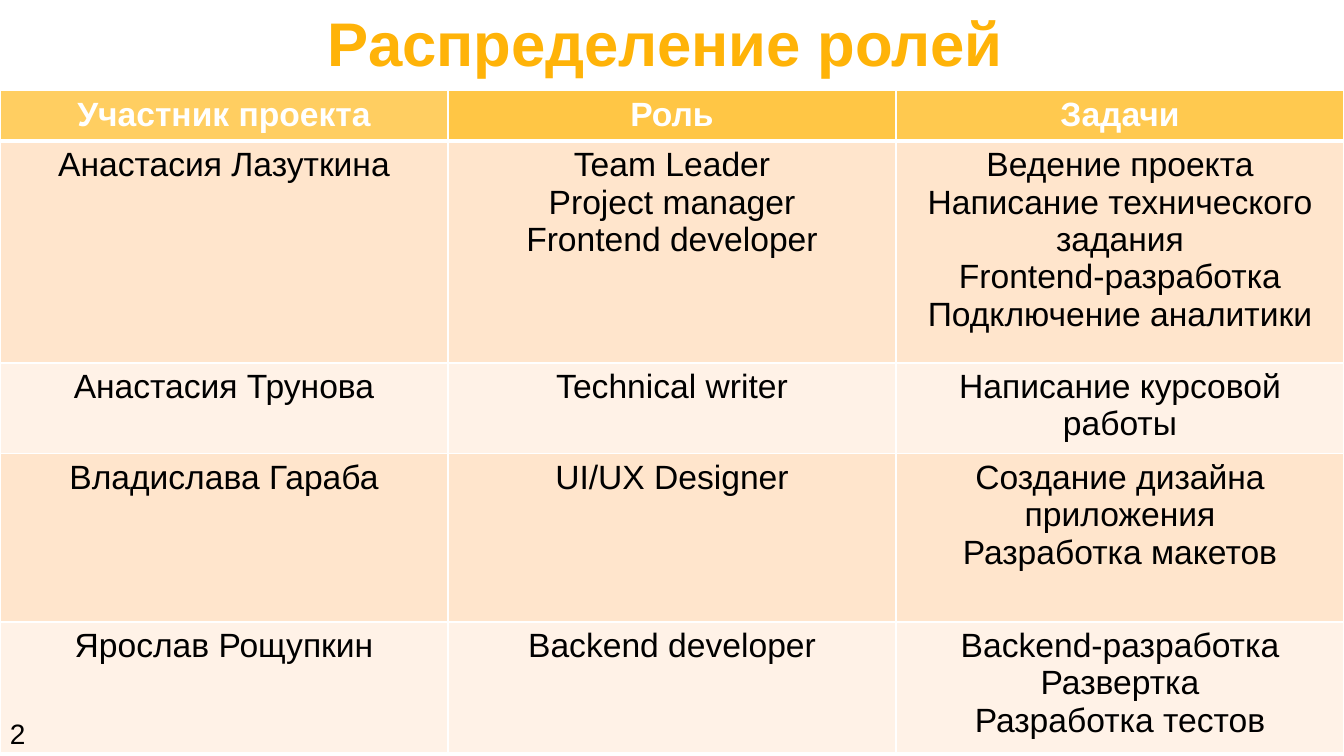
from dataclasses import dataclass

import pptx
import pptx.dml.color
import pptx.enum.text
import pptx.oxml
import pptx.oxml.ns
import pptx.util

Inches = pptx.util.Inches
Pt = pptx.util.Pt
RGBColor = pptx.dml.color.RGBColor
PP_ALIGN = pptx.enum.text.PP_ALIGN
MSO_ANCHOR = pptx.enum.text.MSO_ANCHOR
MSO_AUTO_SIZE = pptx.enum.text.MSO_AUTO_SIZE

AMBER = RGBColor(0xFF, 0xB3, 0x08)
PEACH = RGBColor(0xFF, 0xE5, 0xCC)
CREAM = RGBColor(0xFF, 0xF2, 0xE7)
WHITE = RGBColor(0xFF, 0xFF, 0xFF)
BLACK = RGBColor(0, 0, 0)
FONT = "Arial"


@dataclass
class Header:
    text: str
    opacity: int


@dataclass
class Member:
    name: str
    roles: str
    tasks: str
    height: float


HEADER_HEIGHT = 0.49
HEADERS = [
    Header("Участник проекта", 64),
    Header("Роль", 75),
    Header("Задачи", 71),
]
MEMBERS = [
    Member("Анастасия Лазуткина",
           "Team Leader\nProject manager\nFrontend developer",
           "Ведение проекта\nНаписание технического задания\n"
           "Frontend-разработка\nПодключение аналитики", 2.2),
    Member("Анастасия Трунова", "Technical writer",
           "Написание курсовой работы", 0.88),
    Member("Владислава Гараба", "UI/UX Designer",
           "Создание дизайна приложения\nРазработка макетов", 1.67),
    Member("Ярослав Рощупкин", "Backend developer",
           "Backend-разработка\nРазвертка\nРазработка тестов", 1.27),
]


def write(tf, text: str, size: int, color: RGBColor, bold: bool = False,
          align=PP_ALIGN.CENTER) -> None:
    tf.text = text
    tf.word_wrap = True
    for p in tf.paragraphs:
        p.alignment = align
        for r in p.runs:
            r.font.name = FONT
            r.font.size = Pt(size)
            r.font.bold = bold
            r.font.color.rgb = color


def set_borders(cell, bottom: int) -> None:
    tc_pr = cell._tc.get_or_add_tcPr()
    widths = {"lnL": 1, "lnR": 1, "lnT": 1, "lnB": bottom}
    for i, (tag, width) in enumerate(widths.items()):
        tc_pr.insert(i, pptx.oxml.parse_xml(
            f'<a:{tag} {pptx.oxml.ns.nsdecls("a")} w="{Pt(width)}">'
            f'<a:solidFill><a:srgbClr val="{WHITE}"/></a:solidFill></a:{tag}>'))


def fill_cell(cell, text: str, fill: RGBColor, color: RGBColor,
              bold: bool = False, bottom: int = 1) -> None:
    write(cell.text_frame, text, 24, color, bold)
    cell.fill.solid()
    cell.fill.fore_color.rgb = fill
    set_borders(cell, bottom)


def set_opacity(cell, percent: int) -> None:
    clr = cell._tc.tcPr.find(pptx.oxml.ns.qn("a:solidFill"))[0]
    clr.append(pptx.oxml.parse_xml(
        f'<a:alpha {pptx.oxml.ns.nsdecls("a")} val="{percent * 1000}"/>'))


def add_roles_table(s) -> None:
    heights = [HEADER_HEIGHT] + [m.height for m in MEMBERS]
    table = s.shapes.add_table(len(heights), len(HEADERS), 0, Inches(0.9),
                               Inches(13.33), Inches(sum(heights))).table
    for row, height in zip(table.rows, heights):
        row.height = Inches(height)
    for col, header in enumerate(HEADERS):
        cell = table.cell(0, col)
        fill_cell(cell, header.text, AMBER, WHITE, bold=True, bottom=3)
        set_opacity(cell, header.opacity)
    for row, m in enumerate(MEMBERS, 1):
        fill = PEACH if row % 2 else CREAM
        for col, text in enumerate((m.name, m.roles, m.tasks)):
            fill_cell(table.cell(row, col), text, fill, BLACK)
    for col in range(len(HEADERS)):
        for m_cell in (table.cell(1, col),):
            borders = m_cell._tc.tcPr.find(pptx.oxml.ns.qn("a:lnT"))
            borders.set("w", str(Pt(3)))


def add_title(s) -> None:
    sp = s.shapes.title
    sp.left, sp.top = 0, 0
    sp.width, sp.height = Inches(13.2), Inches(0.84)
    tf = sp.text_frame
    tf.vertical_anchor = MSO_ANCHOR.TOP
    write(tf, "Распределение ролей", 44, AMBER, bold=True)
    tf.auto_size = MSO_AUTO_SIZE.SHAPE_TO_FIT_TEXT


def add_page_number(s) -> None:
    sp = s.shapes.add_textbox(0, Inches(7.06), Inches(0.54), Inches(0.44))
    write(sp.text_frame, "2", 20, BLACK, align=PP_ALIGN.LEFT)
    sp.text_frame.auto_size = MSO_AUTO_SIZE.SHAPE_TO_FIT_TEXT


def main() -> None:
    prs = pptx.Presentation()
    prs.slide_width, prs.slide_height = Inches(13.33), Inches(7.5)
    s = prs.slides.add_slide(prs.slide_layouts[5])
    add_title(s)
    add_roles_table(s)
    add_page_number(s)
    prs.save("out.pptx")


if __name__ == "__main__":
    main()
